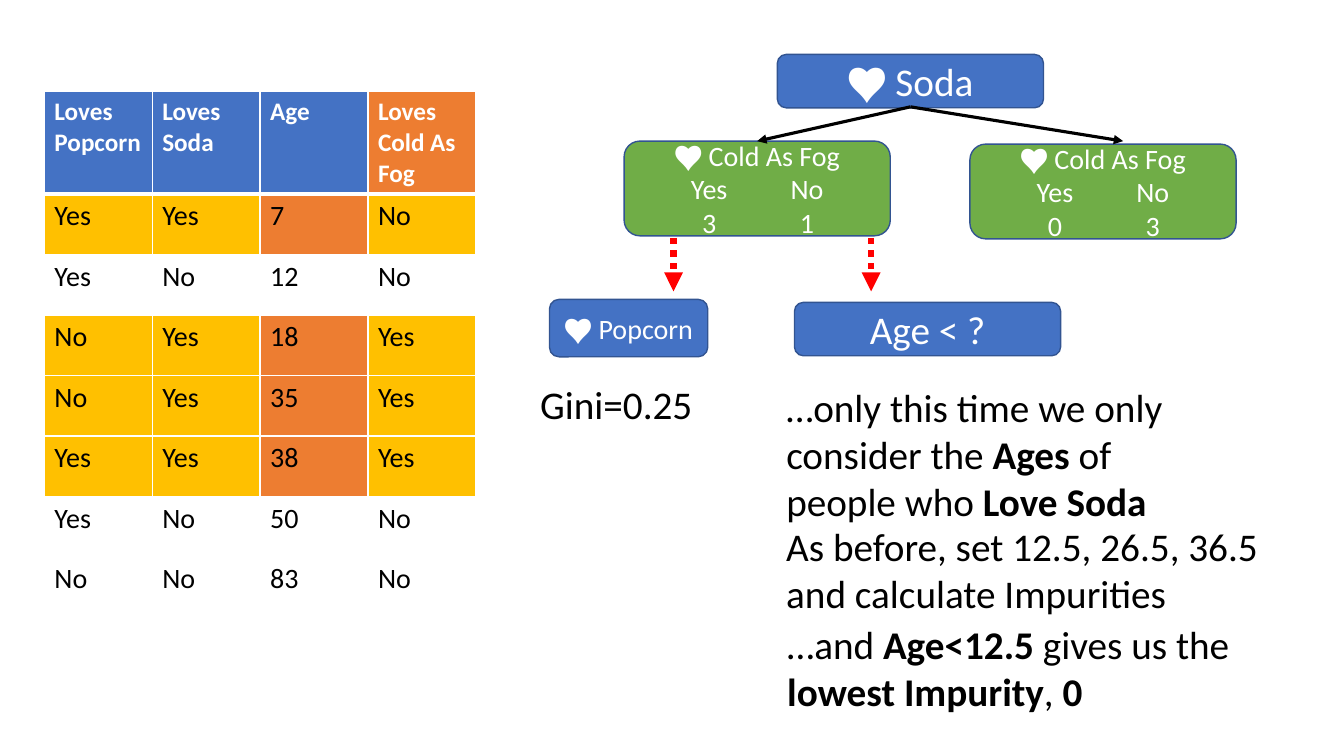
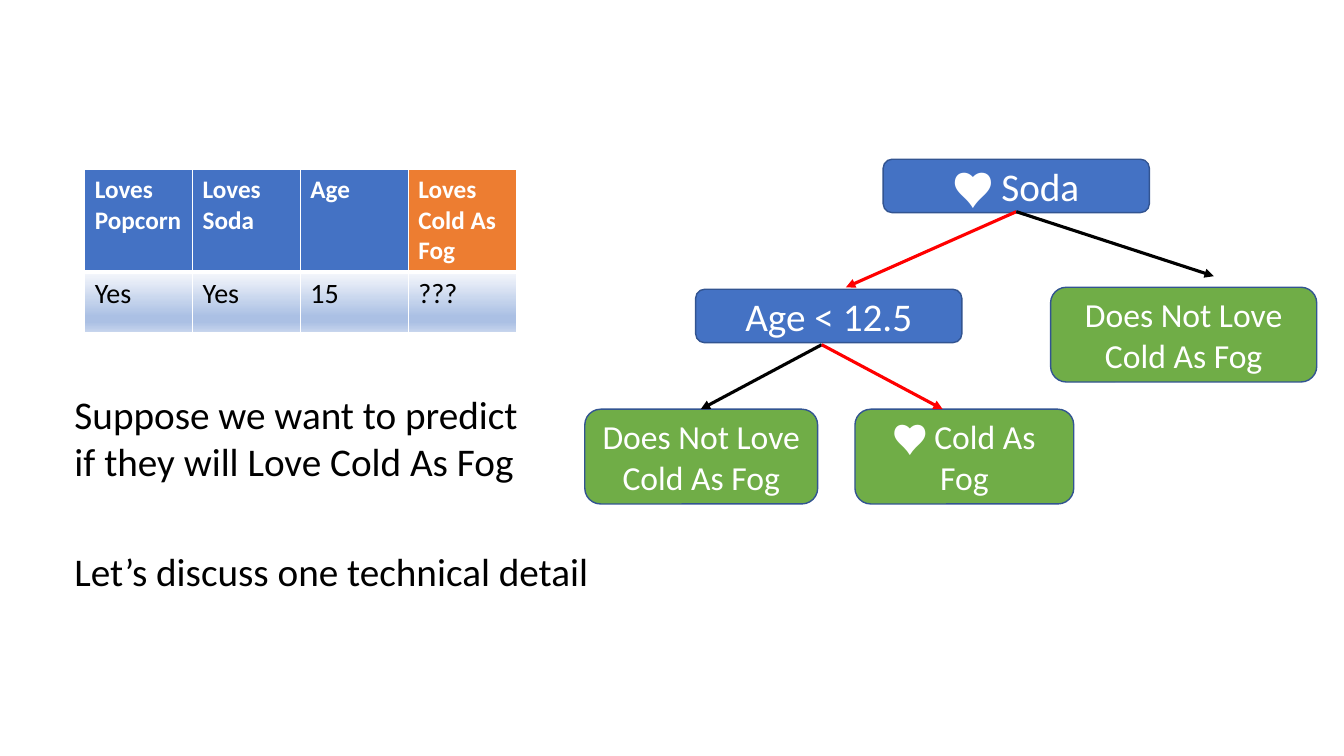
from lxml.etree import SubElement
from pptx import Presentation
from pptx.dml.color import RGBColor
from pptx.enum.dml import MSO_LINE
from pptx.enum.shapes import MSO_CONNECTOR, MSO_SHAPE
from pptx.enum.text import MSO_ANCHOR, MSO_AUTO_SIZE, PP_ALIGN
from pptx.oxml.ns import qn
from pptx.util import Inches, Pt

COLORS = {
    "blue": "4472C4", "green": "70AD47", "orange": "ED7D31", "yellow": "FFC000",
    "outline": "325491", "white": "FFFFFF", "black": "000000", "red": "FF0000",
}
FONT = "Calibri"
BODY_SIZE = 28
COLUMN_WIDTH, HEADER_HEIGHT, ROW_HEIGHT = 1.07, 0.98, 0.6
NODE_WIDTH, QUESTION_HEIGHT, LEAF_HEIGHT = 2.64, 0.53, 0.94
COUNT_TABS = (0.7, 1.67)
SAMPLE_GRADIENT = ((0, "F6F8FC"), (74, "ABC0E4"), (83, "ABC0E4"), (100, "C7D5ED"))

HEADERS = ("Loves Popcorn", "Loves Soda", "Age", "Loves Cold As Fog")
PEOPLE = (
    ("Yes", "Yes", "7", "No"),
    ("Yes", "No", "12", "No"),
    ("No", "Yes", "18", "Yes"),
    ("No", "Yes", "35", "Yes"),
    ("Yes", "Yes", "38", "Yes"),
    ("Yes", "No", "50", "No"),
    ("No", "No", "83", "No"),
)
NEW_PERSON = (("Yes", "Yes", "15", "???"),)

SLIDES = (
    {
        "table": (0.44, 0.91, PEOPLE, False),
        "nodes": (
            ("♥︎ Soda", "blue", 28, 7.71, 0.54, NODE_WIDTH, QUESTION_HEIGHT),
            ("♥︎ Cold As Fog\n\tYes\tNo\n\t3\t1", "green", 20, 6.19, 1.4, NODE_WIDTH, LEAF_HEIGHT),
            ("♥︎ Cold As Fog\n\tYes\tNo\n\t0\t3", "green", 20, 9.62, 1.43, NODE_WIDTH, LEAF_HEIGHT),
            ("♥︎ Popcorn", "blue", 20, 5.45, 2.97, 1.57, 0.57),
            ("Age < ?", "blue", 28, 7.88, 3, NODE_WIDTH, QUESTION_HEIGHT),
        ),
        "arrows": (
            (9.03, 1.06, 7.51, 1.4, "black", False),
            (9.03, 1.06, 11.14, 1.4, "black", False),
            (6.68, 2.36, 6.68, 2.89, "red", True),
            (8.64, 2.36, 8.64, 2.89, "red", True),
        ),
        "texts": (
            ("Gini=0.25", 5.26, 3.72, 2.26, 0.57),
            ("…only this time we only consider the **Ages** of people who **Love Soda**",
             7.7, 3.75, 4.38, 1.51),
            ("As before, set 12.5, 26.5, 36.5 and calculate Impurities", 7.7, 5.13, 5, 1.04),
            ("…and **Age<12.5** gives us the **lowest Impurity**, **0**", 7.71, 6.1, 5, 1.04),
        ),
    },
    {
        "table": (0.84, 1.68, NEW_PERSON, True),
        "nodes": (
            ("♥︎ Soda", "blue", 28, 8.76, 1.58, NODE_WIDTH, QUESTION_HEIGHT),
            ("Age < 12.5", "blue", 28, 6.9, 2.87, NODE_WIDTH, QUESTION_HEIGHT),
            ("Does Not Love Cold As Fog", "green", 24, 10.42, 2.85, NODE_WIDTH, LEAF_HEIGHT),
            ("Does Not Love Cold As Fog", "green", 24, 5.8, 4.06, 2.31, LEAF_HEIGHT),
            ("♥︎ Cold As Fog", "green", 24, 8.48, 4.06, 2.17, LEAF_HEIGHT),
        ),
        "arrows": (
            (10.08, 2.1, 8.39, 2.85, "red", False),
            (10.08, 2.1, 12.04, 2.74, "black", False),
            (8.15, 3.42, 6.95, 4.06, "black", False),
            (8.15, 3.42, 9.35, 4.06, "red", False),
        ),
        "texts": (
            ("Suppose we want to predict if they will Love Cold As Fog", 0.64, 3.82, 4.68, 1.04),
            ("Let’s discuss one technical detail", 0.64, 5.38, 8.41, 0.57),
        ),
    },
)


def color(name):
    return RGBColor.from_string(COLORS[name])


def write_text(text_frame, text, size=BODY_SIZE, color_name="black", bold=False,
               align=PP_ALIGN.LEFT):
    text_frame.word_wrap = True
    for index, line in enumerate(text.split("\n")):
        paragraph = text_frame.add_paragraph() if index else text_frame.paragraphs[0]
        tabbed = line.startswith("\t")
        paragraph.alignment = PP_ALIGN.LEFT if tabbed else align
        if tabbed:
            tab_list = SubElement(paragraph._p.get_or_add_pPr(), qn("a:tabLst"))
            for position in COUNT_TABS:
                SubElement(tab_list, qn("a:tab"), pos=str(Inches(position)), algn="ctr")
        for part_index, part in enumerate(line.split("**")):
            if part:
                run = paragraph.add_run()
                run.text = part
                run.font.name = FONT
                run.font.size = Pt(size)
                run.font.bold = bold or part_index % 2 == 1
                run.font.color.rgb = color(color_name)


def add_solid(parent, hex_color):
    solid = SubElement(parent, qn("a:solidFill"))
    SubElement(solid, qn("a:srgbClr"), val=hex_color)


def set_borders(cell, top, bottom):
    properties = cell._tc.get_or_add_tcPr()
    for side, width in (("L", 1), ("R", 1), ("T", top), ("B", bottom)):
        add_solid(SubElement(properties, qn(f"a:ln{side}"), w=str(Pt(width))), COLORS["white"])


def fill_gradient(cell):
    gradient = SubElement(cell._tc.get_or_add_tcPr(), qn("a:gradFill"), rotWithShape="1")
    stops = SubElement(gradient, qn("a:gsLst"))
    for percent, hex_color in SAMPLE_GRADIENT:
        stop = SubElement(stops, qn("a:gs"), pos=str(percent * 1000))
        SubElement(stop, qn("a:srgbClr"), val=hex_color)
    SubElement(gradient, qn("a:lin"), ang="5400000", scaled="0")


def fill_cell(cell, fill_name):
    if fill_name:
        cell.fill.solid()
        cell.fill.fore_color.rgb = color(fill_name)
    else:
        cell.fill.background()


def add_people_table(slide, left, top, people, shaded):
    height = HEADER_HEIGHT + ROW_HEIGHT * len(people)
    table = slide.shapes.add_table(
        len(people) + 1, len(HEADERS), Inches(left), Inches(top),
        Inches(COLUMN_WIDTH * len(HEADERS)), Inches(height)).table
    table.horz_banding = False
    for column in table.columns:
        column.width = Inches(COLUMN_WIDTH)
    for row_index, values in enumerate((HEADERS, *people)):
        header = row_index == 0
        table.rows[row_index].height = Inches(HEADER_HEIGHT if header else ROW_HEIGHT)
        for column_index, value in enumerate(values):
            cell = table.cell(row_index, column_index)
            set_borders(cell, 3 if row_index == 1 else 1, 3 if header else 1)
            if header:
                write_text(cell.text_frame, value, size=18, color_name="white", bold=True)
                fill_cell(cell, "orange" if column_index == 3 else "blue")
                continue
            write_text(cell.text_frame, value, size=20)
            if shaded:
                fill_gradient(cell)
            elif values[1] == "Yes":
                fill_cell(cell, "orange" if column_index == 2 else "yellow")
            else:
                fill_cell(cell, None)


def add_node(slide, text, fill_name, size, *box):
    shape = slide.shapes.add_shape(MSO_SHAPE.ROUNDED_RECTANGLE, *map(Inches, box))
    shape.shadow.inherit = False
    shape.fill.solid()
    shape.fill.fore_color.rgb = color(fill_name)
    shape.line.color.rgb = color("outline")
    shape.line.width = Pt(1)
    shape.text_frame.vertical_anchor = MSO_ANCHOR.MIDDLE
    write_text(shape.text_frame, text, size=size, color_name="white", align=PP_ALIGN.CENTER)


def add_arrow(slide, start_x, start_y, end_x, end_y, color_name, dotted):
    ends = map(Inches, (start_x, start_y, end_x, end_y))
    connector = slide.shapes.add_connector(MSO_CONNECTOR.STRAIGHT, *ends)
    connector.line.color.rgb = color(color_name)
    connector.line.width = Pt(4.5 if dotted else 2.25)
    if dotted:
        connector.line.dash_style = MSO_LINE.ROUND_DOT
    SubElement(connector.line._get_or_add_ln(), qn("a:tailEnd"), type="triangle")
    SubElement(connector._element.spPr, qn("a:effectLst"))


def add_note(slide, text, *box):
    text_frame = slide.shapes.add_textbox(*map(Inches, box)).text_frame
    write_text(text_frame, text)
    text_frame.auto_size = MSO_AUTO_SIZE.SHAPE_TO_FIT_TEXT


def main():
    presentation = Presentation()
    presentation.slide_width, presentation.slide_height = Inches(13.33), Inches(7.5)
    for content in SLIDES:
        slide = presentation.slides.add_slide(presentation.slide_layouts[6])
        add_people_table(slide, *content["table"])
        for add_part, key in ((add_node, "nodes"), (add_arrow, "arrows"), (add_note, "texts")):
            for part in content[key]:
                add_part(slide, *part)
    presentation.save("out.pptx")


if __name__ == "__main__":
    main()
